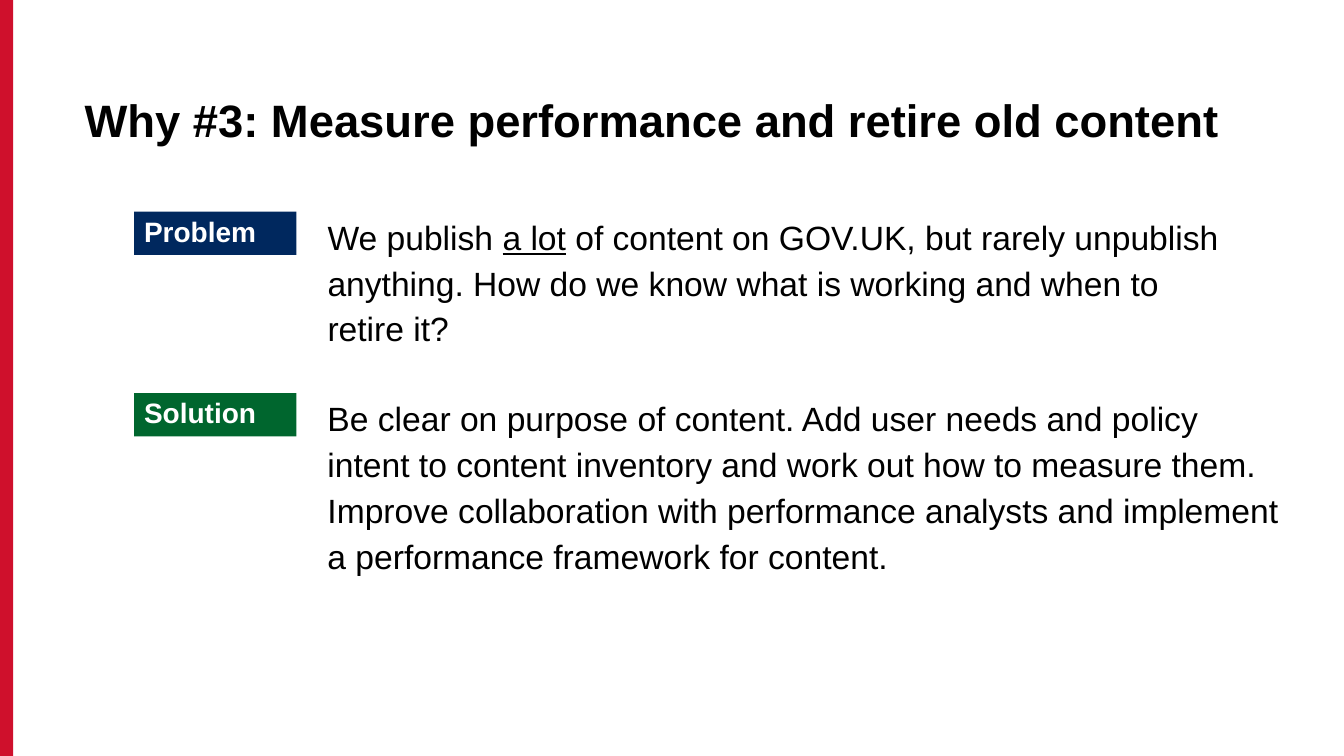
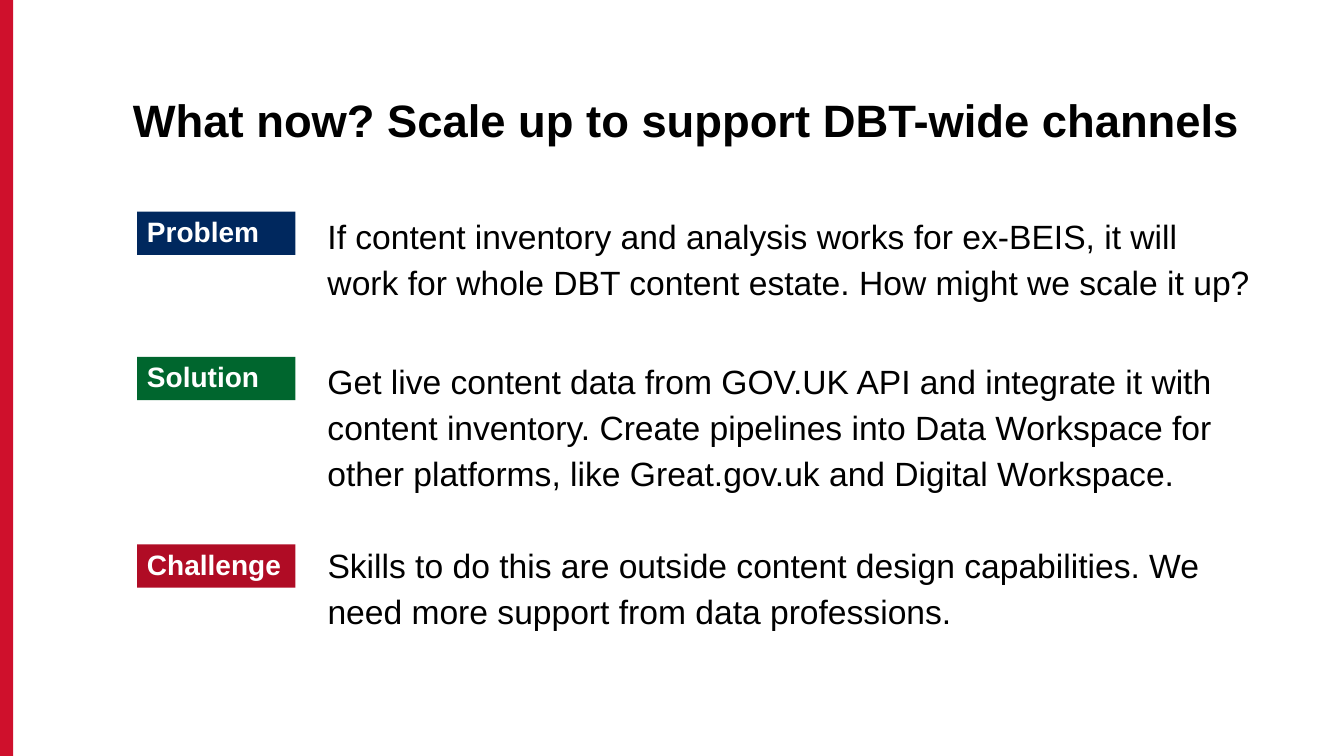
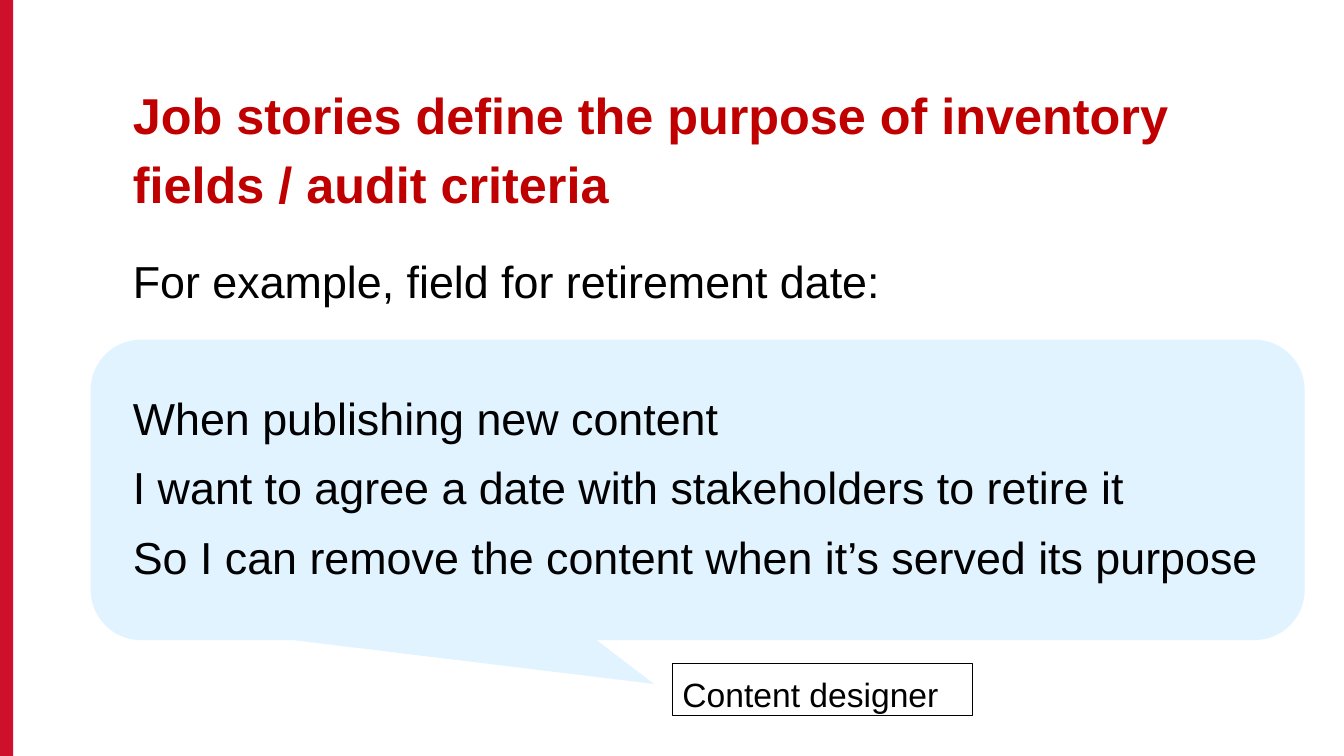
from lxml import etree
from pptx import Presentation
from pptx.dml.color import RGBColor
from pptx.enum.shapes import MSO_SHAPE
from pptx.enum.text import MSO_ANCHOR, MSO_AUTO_SIZE, PP_ALIGN
from pptx.oxml.ns import qn
from pptx.util import Inches, Pt

RECT = MSO_SHAPE.RECTANGLE
CALLOUT = MSO_SHAPE.ROUNDED_RECTANGULAR_CALLOUT
TOP, MIDDLE = MSO_ANCHOR.TOP, MSO_ANCHOR.MIDDLE
GROW = MSO_AUTO_SIZE.SHAPE_TO_FIT_TEXT
LEFT = PP_ALIGN.LEFT

FONT = "Arial"
BLACK, WHITE = "000000", "FFFFFF"
BAND, HEADING_RED, BUBBLE = "CF102C", "C00000", "CCECFF"
TAG_COLOURS = {"Problem": "00285E", "Solution": "00662E", "Challenge": "B00C25"}
TIGHT, LOOSE = 0.9, 1.14
TAG_HEIGHT = 0.43
BODY_LEFT = 3.15


def rgb(value):
    return RGBColor.from_string(value)


def add_box(slide, box, fill, shape=RECT, line=None):
    sp = slide.shapes.add_shape(shape, *map(Inches, box))
    sp.shadow.inherit = False
    sp.fill.solid()
    sp.fill.fore_color.rgb = rgb(fill)
    if line:
        sp.line.color.rgb = rgb(line)
        sp.line.width = Pt(0.75)
    else:
        sp.line.fill.background()
    return sp


def write(sp, paragraphs, size, colour=BLACK, bold=False, spacing=LOOSE,
          anchor=MIDDLE, gap=0, grow=False):
    """Each paragraph is a string, or a list of (text, underlined) runs."""
    tf = sp.text_frame
    tf.word_wrap = True
    tf.vertical_anchor = anchor
    if grow:
        tf.auto_size = GROW
    for i, runs in enumerate(paragraphs):
        p = tf.paragraphs[0] if i == 0 else tf.add_paragraph()
        p.alignment = LEFT
        p.line_spacing = spacing
        if i:
            p.space_before = Pt(gap)
        p.font.name, p.font.size = FONT, Pt(size)
        p.font.bold, p.font.color.rgb = bold, rgb(colour)
        for text, underlined in [(runs, False)] if isinstance(runs, str) else runs:
            r = p.add_run()
            r.text = text
            if underlined:
                r.font.underline = True


def add_text(slide, box, paragraphs, size, **style):
    write(slide.shapes.add_textbox(*map(Inches, box)), paragraphs, size, **style)


def new_slide(prs, title, box, size=32.4, colour=BLACK, spacing=TIGHT):
    slide = prs.slides.add_slide(prs.slide_layouts[6])
    add_box(slide, (0, 0, 0.13, 7.5), BAND)
    add_text(slide, box, [title], size, colour=colour, bold=True, spacing=spacing)
    return slide


def tagged_slide(prs, title, title_box, tag_left, tag_width, rows):
    """Rows hold the tag, its top, the body's top, width and height, and the body."""
    slide = new_slide(prs, title, title_box)
    for tag, tag_top, top, width, height, body in rows:
        sp = add_box(slide, (tag_left, tag_top, tag_width, TAG_HEIGHT), TAG_COLOURS[tag])
        write(sp, [tag], 20, colour=WHITE, bold=True, spacing=TIGHT)
        add_text(slide, (BODY_LEFT, top, width, height), [body], 24)


def add_bubble(slide, box, lines):
    left, top, width, height = box
    sp = add_box(slide, box, BUBBLE, CALLOUT)
    for i, value in enumerate((-0.036, 0.646, 0.167)):
        sp.adjustments[i] = value
    colour = sp.fill._xPr.find(qn("a:solidFill"))[0]
    etree.SubElement(colour, qn("a:alpha")).set("val", "60000")
    add_text(slide, (left + 0.32, top + 0.38, width - 0.54, height - 0.92), lines, 32,
             anchor=TOP, gap=6, grow=True)


def job_story_slide(prs):
    slide = new_slide(prs, "Job stories define the purpose of inventory fields / audit criteria",
                      (1.22, 0.67, 11.5, 1.53), 36, HEADING_RED, LOOSE)
    add_text(slide, (1.22, 2.39, 11.07, 0.66), ["For example, field for retirement date:"], 32,
             anchor=TOP, grow=True)
    add_bubble(slide, (0.9, 3.37, 12.04, 2.98), [
        "When publishing new content",
        "I want to agree a date with stakeholders to retire it",
        "So I can remove the content when it’s served its purpose",
    ])
    # Speaker of the story
    sp = add_box(slide, (6.67, 6.58, 2.98, 0.52), WHITE, line=BLACK)
    write(sp, ["Content designer"], 24, anchor=TOP, grow=True)


def main():
    prs = Presentation()
    prs.slide_width, prs.slide_height = Inches(13.33), Inches(7.5)
    tagged_slide(
        prs, "Why #3: Measure performance and retire old content",
        (0.74, 0.67, 12.12, 1.09), 1.33, 1.61, [
            ("Problem", 2.1, 2.1, 9.08, 1.35, [
                ("We publish ", False), ("a lot", True),
                (" of content on GOV.UK, but rarely unpublish anything. How do we know "
                 "what is working and when to retire it?", False)]),
            ("Solution", 3.9, 3.89, 9.7, 1.83,
             "Be clear on purpose of content. Add user needs and policy intent to content "
             "inventory and work out how to measure them. Improve collaboration with "
             "performance analysts and implement a performance framework for content."),
        ])
    tagged_slide(
        prs, "What now? Scale up to support DBT-wide channels",
        (1.22, 0.67, 11.5, 1.09), 1.36, 1.57, [
            ("Problem", 2.1, 1.87, 9.36, 1.35,
             "If content inventory and analysis works for ex-BEIS, it will work for whole "
             "DBT content estate. How might we scale it up?"),
            ("Solution", 3.54, 3.35, 9.43, 1.72,
             "Get live content data from GOV.UK API and integrate it with content "
             "inventory. Create pipelines into Data Workspace for other platforms, like "
             "Great.gov.uk and Digital Workspace."),
            ("Challenge", 5.4, 5.2, 9.08, 1.22,
             "Skills to do this are outside content design capabilities. We need more "
             "support from data professions."),
        ])
    job_story_slide(prs)
    prs.save("out.pptx")


if __name__ == "__main__":
    main()
